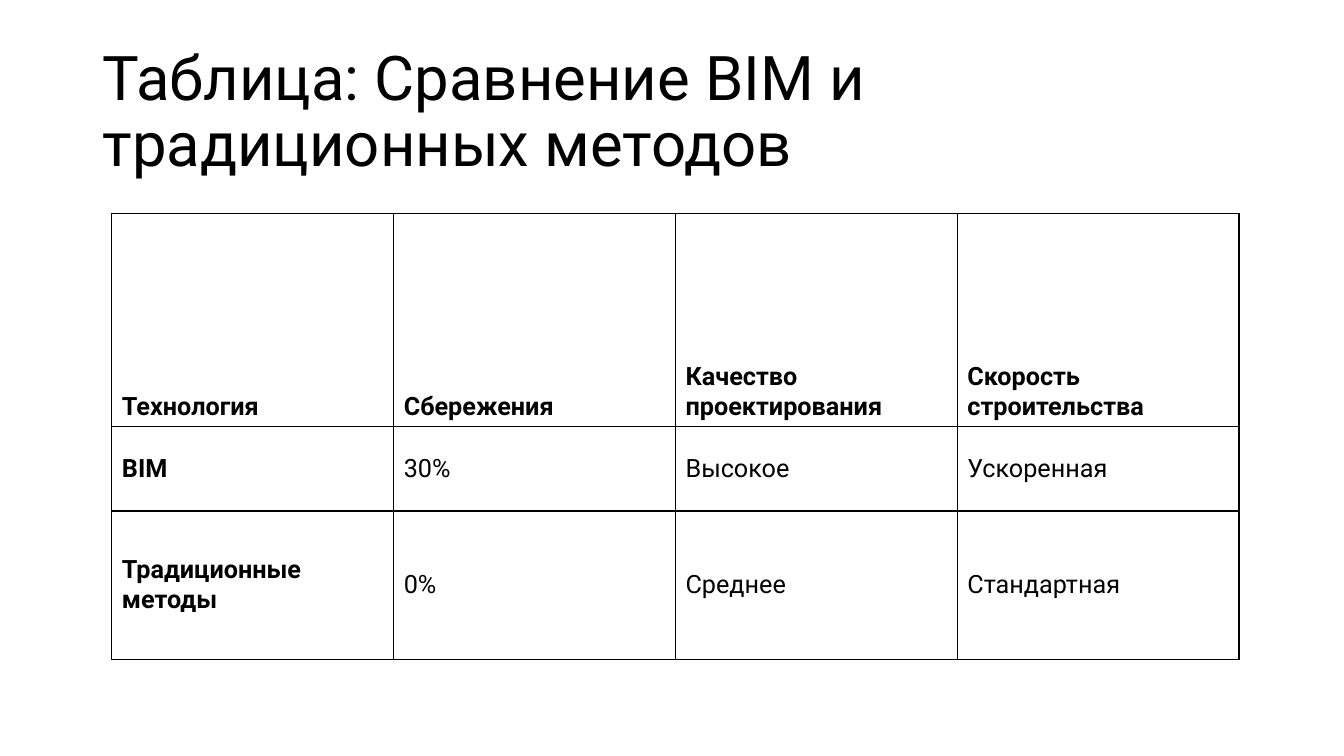
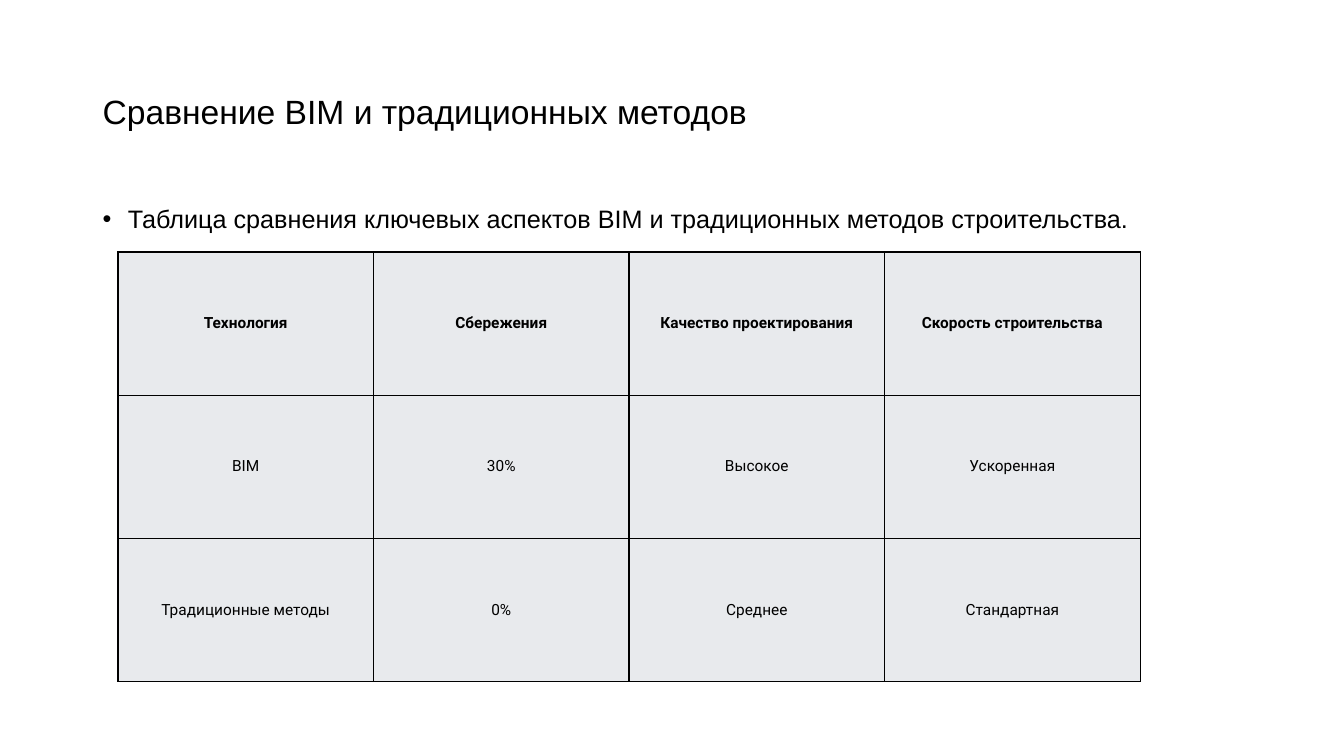
"""Build two slides that compare BIM with traditional construction methods."""
from dataclasses import dataclass

from lxml import etree
from pptx import Presentation
from pptx.dml.color import RGBColor
from pptx.enum.text import MSO_ANCHOR, PP_ALIGN
from pptx.oxml.ns import qn
from pptx.util import Inches, Pt

TOP, MIDDLE, BOTTOM = MSO_ANCHOR.TOP, MSO_ANCHOR.MIDDLE, MSO_ANCHOR.BOTTOM
LEFT, CENTER = PP_ALIGN.LEFT, PP_ALIGN.CENTER

COMPARISON = [
    ["Технология", "Сбережения", "Качество проектирования", "Скорость строительства"],
    ["BIM", "30%", "Высокое", "Ускоренная"],
    ["Традиционные методы", "0%", "Среднее", "Стандартная"],
]


@dataclass(frozen=True)
class Theme:
    """Hold the colours, fonts and type sizes of the deck."""
    ink: str = "000000"
    paper: str = "FFFFFF"
    shade: str = "E8EAED"
    main_font: str = "Roboto"
    plain_font: str = "Arial"
    headline: int = 44
    subhead: int = 24
    body: int = 18
    small: int = 11
    border: int = 1
    line_spacing: float = 0.9


THEME = Theme()


def write(frame, text, *, size, font=THEME.main_font, bold=False, align=LEFT,
          spacing=None, before=0, bullet=None):
    """Put one formatted paragraph into a text frame."""
    paragraph = frame.paragraphs[0]
    paragraph.alignment = align
    paragraph.line_spacing = spacing
    paragraph.space_before = Pt(before)
    run = paragraph.add_run()
    run.text = text
    run.font.name = font
    run.font.size = Pt(size)
    run.font.bold = bold
    run.font.color.rgb = RGBColor.from_string(THEME.ink)
    if bullet:
        properties = paragraph._p.get_or_add_pPr()
        properties.set("marL", str(Inches(0.25)))
        properties.set("indent", str(Inches(-0.25)))
        etree.SubElement(properties, qn("a:buFont"), typeface=THEME.plain_font)
        etree.SubElement(properties, qn("a:buChar"), char=bullet)


class Deck:
    """Hold the theme and the current slide, and add elements to it."""

    def __init__(self, theme):
        self.theme = theme
        self.presentation = Presentation()
        self.presentation.slide_width = Inches(13.33)
        self.presentation.slide_height = Inches(7.5)
        self.slide = None

    def new_slide(self):
        """Start a blank slide with the shared background."""
        self.slide = self.presentation.slides.add_slide(self.presentation.slide_layouts[6])
        background = self.slide.background.fill
        background.solid()
        background.fore_color.rgb = RGBColor.from_string(self.theme.paper)

    def text(self, text, top, height, anchor, **style):
        """Add a text box across the content width."""
        box = self.slide.shapes.add_textbox(
            Inches(0.92), Inches(top), Inches(11.5), Inches(height))
        frame = box.text_frame
        frame.word_wrap = True
        frame.vertical_anchor = anchor
        write(frame, text, spacing=self.theme.line_spacing, **style)

    def title(self, text, **style):
        """Add the slide title."""
        self.text(text, 0.4, 1.45, MIDDLE, **style)

    def bullet(self, text):
        """Add the bulleted lead text."""
        self.text(text, 2, 0.5, TOP, size=self.theme.body,
                  font=self.theme.plain_font, before=10, bullet="•")

    def outline(self, cell):
        """Draw the four borders of a table cell."""
        properties = cell._tc.get_or_add_tcPr()
        for side in ("lnL", "lnR", "lnT", "lnB"):
            line = etree.SubElement(properties, qn(f"a:{side}"), w=str(Pt(self.theme.border)))
            fill = etree.SubElement(line, qn("a:solidFill"))
            etree.SubElement(fill, qn("a:srgbClr"), val=self.theme.ink)

    def table(self, left, top, column_width, row_heights, *, fill, size,
              align=LEFT, header_anchor=MIDDLE, bold_labels=False, margin=None):
        """Add the comparison table with equal columns."""
        column_count = len(COMPARISON[0])
        table = self.slide.shapes.add_table(
            len(COMPARISON), column_count, Inches(left), Inches(top),
            Inches(column_width * column_count), Inches(sum(row_heights))).table
        for column in table.columns:
            column.width = Inches(column_width)
        for row_index, (labels, height) in enumerate(zip(COMPARISON, row_heights)):
            table.rows[row_index].height = Inches(height)
            header = row_index == 0
            for column_index, label in enumerate(labels):
                cell = table.cell(row_index, column_index)
                self.outline(cell)
                cell.fill.solid()
                cell.fill.fore_color.rgb = RGBColor.from_string(fill)
                cell.vertical_anchor = header_anchor if header else MIDDLE
                if margin is not None:
                    cell.margin_left = cell.margin_right = Inches(margin)
                    cell.margin_top = cell.margin_bottom = Inches(margin)
                write(cell.text_frame, label, size=size, align=align,
                      bold=header or (bold_labels and column_index == 0))


def main():
    """Build and save both slides."""
    deck = Deck(THEME)

    deck.new_slide()
    deck.title("Таблица: Сравнение BIM и традиционных методов", size=THEME.headline)
    deck.table(1.11, 2.12, 2.795, [2.11, 0.84, 1.47], fill=THEME.paper,
               size=THEME.body, header_anchor=BOTTOM, bold_labels=True)

    deck.new_slide()
    deck.title("Сравнение BIM и традиционных методов",
               size=THEME.subhead, font=THEME.plain_font)
    deck.bullet("Таблица сравнения ключевых аспектов BIM и традиционных методов строительства.")
    deck.table(1.17, 2.5, 2.535, [1.42] * 3, fill=THEME.shade,
               size=THEME.small, align=CENTER, margin=0.01)

    deck.presentation.save("out.pptx")


if __name__ == "__main__":
    main()
